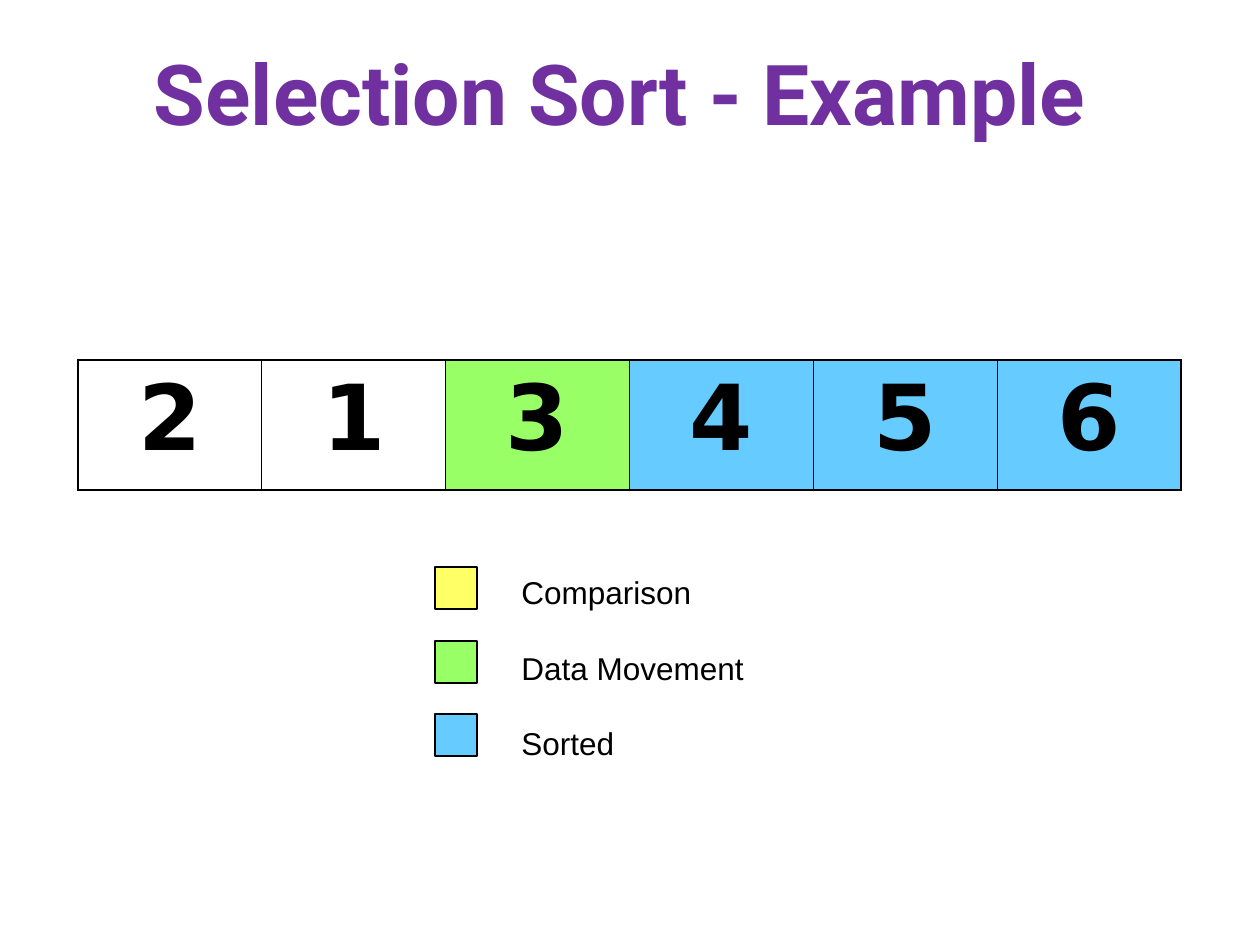
from pptx import Presentation
from pptx.dml.color import RGBColor as RGB
from pptx.enum.shapes import MSO_SHAPE as Shape
from pptx.enum.text import MSO_ANCHOR as Anchor, PP_ALIGN as Align
from pptx.oxml import parse_xml
from pptx.oxml.ns import nsdecls
from pptx.util import Pt

PX = 914400 // 126
BLACK = RGB(0, 0, 0)
PURPLE = RGB(0x70, 0x30, 0xA0)
YELLOW = RGB(0xFF, 0xFF, 0x66)
GREEN = RGB(0x99, 0xFF, 0x66)
BLUE = RGB(0x66, 0xCC, 0xFF)

CELLS = [("2", None), ("1", None), ("3", GREEN),
         ("4", BLUE), ("5", BLUE), ("6", BLUE)]
LEGEND = [("Comparison", YELLOW), ("Data Movement", GREEN), ("Sorted", BLUE)]
THICK, THIN = 1.08, 0.45


class Board:
    """Holds the deck's style and the slide being drawn."""

    def __init__(self, deck):
        self.head = ("Roboto", 48, PURPLE, True)
        self.digit = ("DejaVu Sans", 52, BLACK, True)
        self.label = ("Arial", 18, BLACK, False)
        self.slide = deck.slides.add_slide(deck.slide_layouts[6])

    def run(self, para, text, style):
        run = para.add_run()
        run.text = text
        font = run.font
        font.name, size, font.color.rgb, font.bold = style
        font.size = Pt(size)

    def text(self, box, lines, style, align=Align.LEFT, gap=0):
        """Write one paragraph per line, with gap points between them."""
        frame = self.slide.shapes.add_textbox(*(n * PX for n in box)).text_frame
        frame.word_wrap = True
        for i, line in enumerate(lines):
            para = frame.add_paragraph() if i else frame.paragraphs[0]
            para.alignment = align
            if i:
                para.space_before = Pt(gap)
            self.run(para, line, style)
        return frame

    def square(self, left, top, side, color):
        box = self.slide.shapes.add_shape(
            Shape.RECTANGLE, left * PX, top * PX, side * PX, side * PX)
        box.shadow.inherit = False
        box.fill.solid()
        box.fill.fore_color.rgb = color
        box.line.color.rgb = BLACK
        box.line.width = Pt(0.75)

    def border(self, cell, widths):
        """Rule the cell's edges; widths maps L, R, T, B to points."""
        props = cell._tc.get_or_add_tcPr()
        for i, (side, width) in enumerate(widths.items()):
            props.insert(i, parse_xml(
                f'<a:ln{side} {nsdecls("a")} w="{Pt(width)}"><a:solidFill>'
                f'<a:srgbClr val="{BLACK}"/></a:solidFill></a:ln{side}>'))

    def array(self, box, cells):
        """Draw a one-row table of (text, fill) cells."""
        count = len(cells)
        table = self.slide.shapes.add_table(
            1, count, *(n * PX for n in box)).table
        table.first_row = table.horz_banding = False
        for i, (text, color) in enumerate(cells):
            cell = table.cell(0, i)
            if color:
                cell.fill.solid()
                cell.fill.fore_color.rgb = color
            else:
                cell.fill.background()
            self.border(cell, {"L": THIN if i else THICK,
                               "R": THIN if i < count - 1 else THICK,
                               "T": THICK, "B": THICK})
            para = cell.text_frame.paragraphs[0]
            para.alignment = Align.CENTER
            self.run(para, text, self.digit)


def main():
    deck = Presentation()
    deck.slide_width, deck.slide_height = 1260 * PX, 945 * PX
    board = Board(deck)
    board.array((78, 360, 1103, 130), CELLS)
    for i, (_, color) in enumerate(LEGEND):
        board.square(435, 567 + round(73.5 * i), 42, color)
    names = [name for name, _ in LEGEND]
    board.text((509, 567, 260, 202), names, board.label, gap=21.6)
    title = board.text((32, 26, 1197, 132), ["Selection Sort - Example "],
                       board.head, Align.CENTER)
    title.vertical_anchor = Anchor.MIDDLE
    deck.save("out.pptx")


if __name__ == "__main__":
    main()
